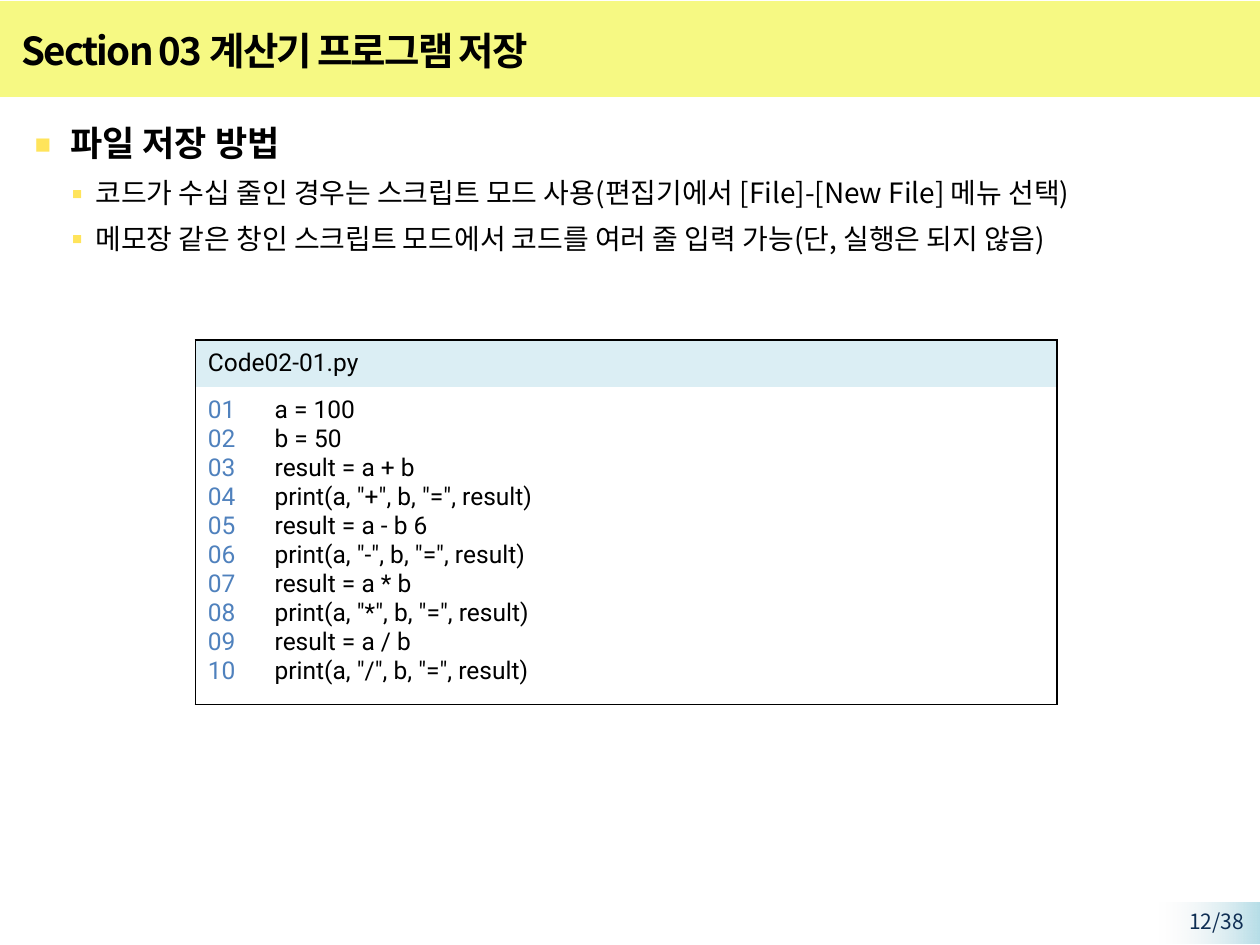
from dataclasses import dataclass

from lxml.etree import SubElement
from pptx import Presentation
from pptx.dml.color import RGBColor
from pptx.enum.shapes import MSO_SHAPE
from pptx.enum.text import MSO_ANCHOR, PP_ALIGN
from pptx.oxml.ns import qn
from pptx.util import Inches, Pt

KOREAN_FONT = "Noto Sans CJK KR"
CODE_FONT = "Roboto"
BLACK = "000000"
BULLET_COLOR = "FFE45B"
NO_TABLE_STYLE = "{2D5ABB26-0587-4C30-8999-92F81FD0307C}"


@dataclass
class BulletLine:
    text: str
    level: int
    size: int
    bold: bool
    margin: float
    indent: float
    bullet_percent: int


BULLET_LINES = [
    BulletLine("파일 저장 방법", 0, 20, True, 0.39, -0.29, 130),
    BulletLine("코드가 수십 줄인 경우는 스크립트 모드 사용(편집기에서 [File]-[New File] 메뉴 선택)",
               1, 16, False, 0.59, -0.19, 100),
    BulletLine("메모장 같은 창인 스크립트 모드에서 코드를 여러 줄 입력 가능(단, 실행은 되지 않음)",
               1, 16, False, 0.59, -0.19, 100),
]

CODE_LINES = [
    "a = 100",
    "b = 50",
    "result = a + b",
    'print(a, "+", b, "=", result)',
    "result = a - b 6",
    'print(a, "-", b, "=", result)',
    "result = a * b",
    'print(a, "*", b, "=", result)',
    "result = a / b",
    'print(a, "/", b, "=", result)',
]


def rgb(color: str) -> RGBColor:
    return RGBColor.from_string(color)


def add_child(parent, tag: str, **attributes: str):
    return SubElement(parent, qn(tag), attributes)


def style_paragraph(para, font_name: str, size: int, color: str, bold: bool = False) -> None:
    font = para.font
    font.size = Pt(size)
    font.bold = bold
    font.color.rgb = rgb(color)
    font.name = font_name
    add_child(font._element, "a:ea", typeface=font_name)


def add_panel(page, left: float, top: float, width: float, height: float):
    panel = page.shapes.add_shape(MSO_SHAPE.RECTANGLE, Inches(left), Inches(top),
                                  Inches(width), Inches(height))
    panel.shadow.inherit = False
    panel.line.fill.background()
    return panel


def fade_to_left(panel, start: str, end: str) -> None:
    panel.fill.gradient()
    panel.fill.gradient_angle = 180
    first, last = panel.fill.gradient_stops
    first.color.rgb, first.position = rgb(start), 0
    last.color.rgb, last.position = rgb(end), 1
    last_color = panel._element.spPr.findall(".//" + qn("a:srgbClr"))[-1]
    add_child(last_color, "a:alpha", val="0")


def add_text_box(page, left: float, top: float, width: float, height: float):
    box = page.shapes.add_textbox(Inches(left), Inches(top), Inches(width), Inches(height))
    box.text_frame.word_wrap = True
    return box.text_frame


def add_title(page, text: str) -> None:
    title = page.shapes.title
    title.left, title.top = Inches(0.07), Inches(0.14)
    title.width, title.height = Inches(8.51), Inches(0.52)
    title.text_frame.text = text
    title.text_frame.vertical_anchor = MSO_ANCHOR.MIDDLE
    para = title.text_frame.paragraphs[0]
    para.alignment = PP_ALIGN.LEFT
    style_paragraph(para, KOREAN_FONT, 22, BLACK, True)
    para.font._element.set("spc", "-100")
    page.shapes._spTree.append(title._element)


def add_bullets(page, lines: list[BulletLine]) -> None:
    frame = add_text_box(page, 0.07, 0.85, 9.8, 6.2)
    for index, line in enumerate(lines):
        para = frame.paragraphs[0] if index == 0 else frame.add_paragraph()
        para.text = line.text
        para.level = line.level
        para.line_spacing = 1.2
        para.space_before = Pt(line.size * 0.2)
        properties = para._p.get_or_add_pPr()
        properties.set("marL", str(Inches(line.margin)))
        properties.set("indent", str(Inches(line.indent)))
        bullet_color = add_child(properties, "a:buClr")
        add_child(bullet_color, "a:srgbClr", val=BULLET_COLOR)
        add_child(properties, "a:buSzPct", val=str(line.bullet_percent * 1000))
        add_child(properties, "a:buFont", typeface=CODE_FONT)
        add_child(properties, "a:buChar", char="▪")
        style_paragraph(para, KOREAN_FONT, line.size, BLACK, line.bold)


def fill_cell(cell, lines: list[str], color: str, fill: str | None = None) -> None:
    cell.margin_left = cell.margin_right = Inches(0.1)
    cell.margin_top = cell.margin_bottom = Inches(0.07)
    cell.text_frame.text = "\n".join(lines)
    for para in cell.text_frame.paragraphs:
        style_paragraph(para, CODE_FONT, 14, color)
    if fill:
        cell.fill.solid()
        cell.fill.fore_color.rgb = rgb(fill)
    else:
        cell.fill.background()


def set_borders(cell, sides: str) -> None:
    properties = cell._tc.get_or_add_tcPr()
    for position, side in enumerate(sides):
        border = properties.makeelement(qn(f"a:ln{side}"), {"w": str(Pt(1))})
        line_fill = add_child(border, "a:solidFill")
        add_child(line_fill, "a:srgbClr", val=BLACK)
        properties.insert(position, border)


def add_code_table(page, file_name: str, code: list[str]) -> None:
    frame = page.shapes.add_table(2, 2, Inches(1.55), Inches(2.7), Inches(6.84), Inches(2.88))
    table = frame.table
    table.first_row = table.horz_banding = False
    table._tbl.tblPr.find(qn("a:tableStyleId")).text = NO_TABLE_STYLE
    for column, width in zip(table.columns, (0.53, 6.31)):
        column.width = Inches(width)
    for row, height in zip(table.rows, (0.36, 2.52)):
        row.height = Inches(height)
    header = table.cell(0, 0)
    header.merge(table.cell(0, 1))
    numbers = [f"{number:02d}" for number in range(1, len(code) + 1)]
    fill_cell(header, [file_name], BLACK, "DBEEF4")
    fill_cell(table.cell(1, 0), numbers, "4F81BD")
    fill_cell(table.cell(1, 1), code, BLACK)
    set_borders(header, "LRT")
    set_borders(table.cell(0, 1), "RT")
    set_borders(table.cell(1, 0), "LB")
    set_borders(table.cell(1, 1), "RB")


def add_page_number(page, text: str) -> None:
    fade_to_left(add_panel(page, 9.2, 7.16, 0.8, 0.33), "B7DEE8", "F2F2F2")
    para = add_text_box(page, 9.05, 7.16, 0.92, 0.23).paragraphs[0]
    para.text = text
    para.alignment = PP_ALIGN.RIGHT
    style_paragraph(para, KOREAN_FONT, 12, "0F2E53")


def main() -> None:
    deck = Presentation()
    deck.slide_width, deck.slide_height = Inches(10), Inches(7.5)
    page = deck.slides.add_slide(deck.slide_layouts[5])
    band = add_panel(page, 0, 0.01, 10, 0.76)
    band.fill.solid()
    band.fill.fore_color.rgb = rgb("F6F983")
    add_page_number(page, "12/38")
    add_title(page, "Section 03 계산기 프로그램 저장")
    add_bullets(page, BULLET_LINES)
    add_code_table(page, "Code02-01.py", CODE_LINES)
    deck.save("out.pptx")


if __name__ == "__main__":
    main()
